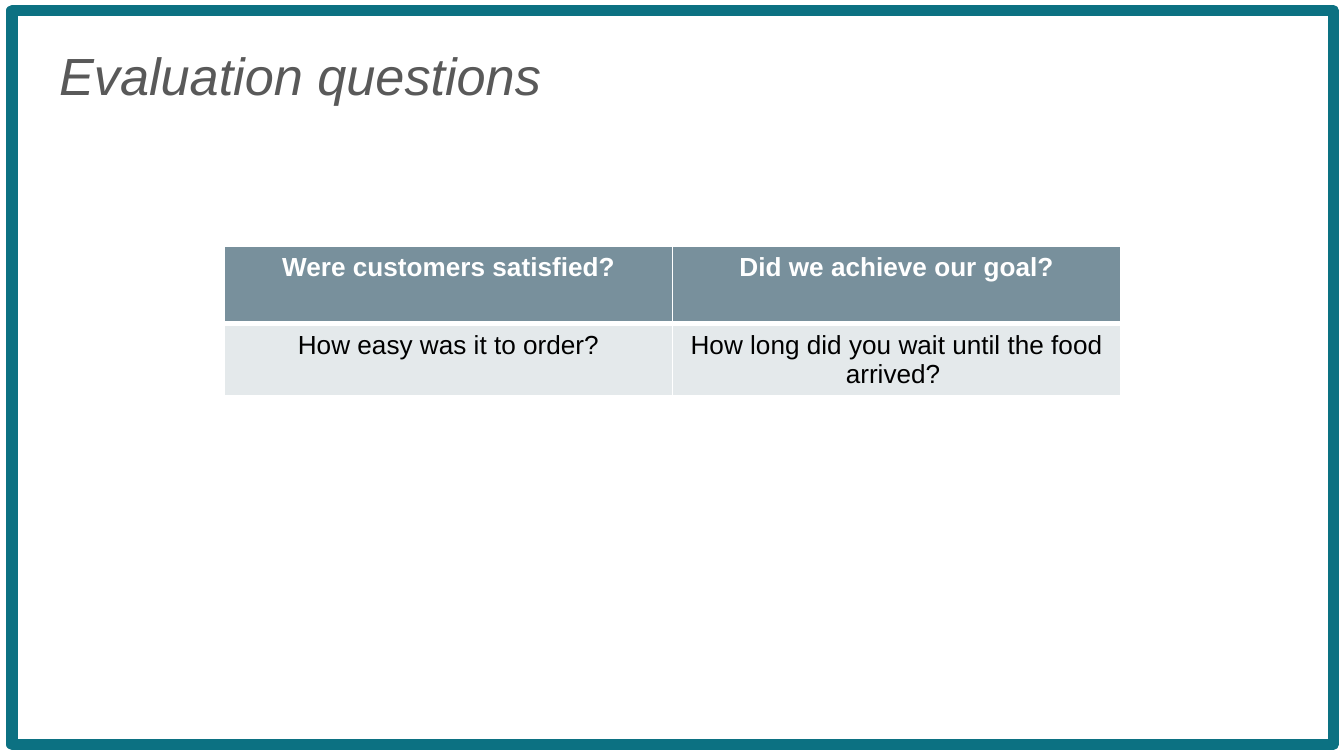
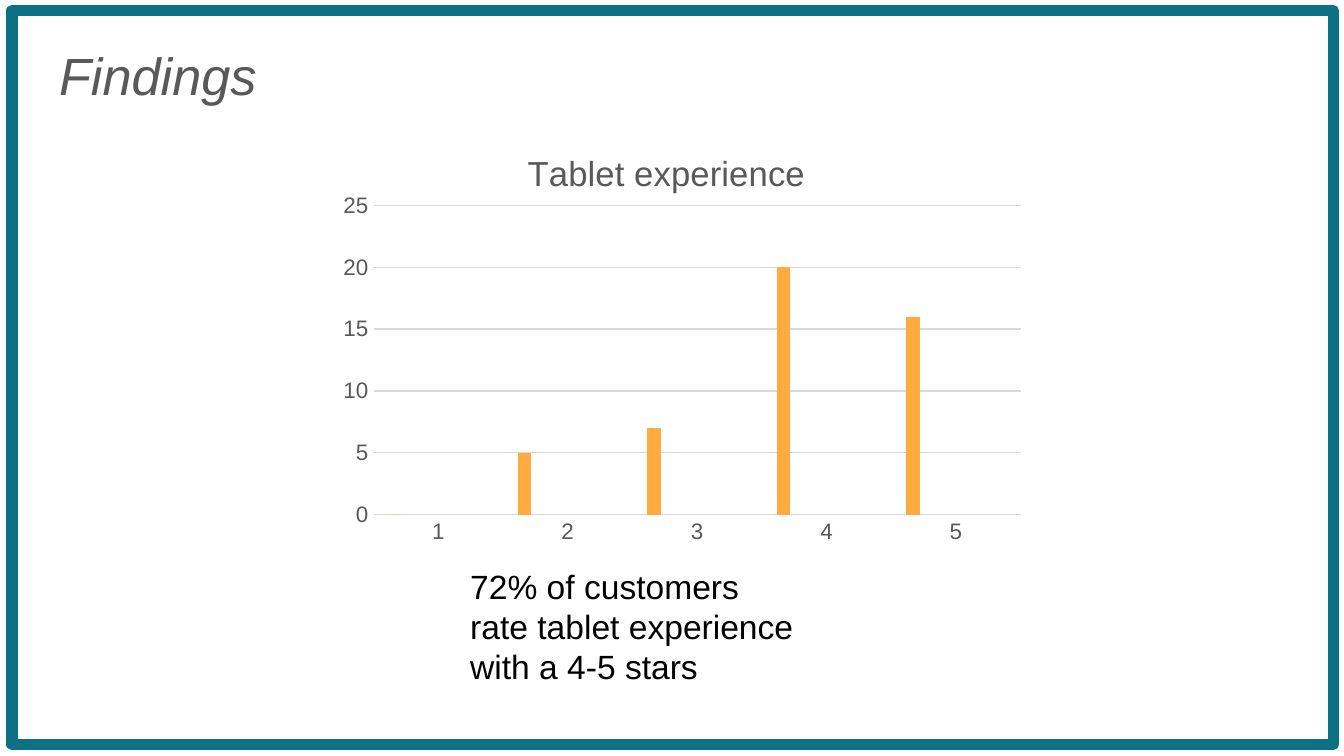
from lxml import etree
from pptx import Presentation
from pptx.chart.data import CategoryChartData
from pptx.dml.color import RGBColor
from pptx.enum.chart import XL_CHART_TYPE, XL_TICK_MARK
from pptx.enum.shapes import MSO_SHAPE
from pptx.enum.text import MSO_ANCHOR, MSO_AUTO_SIZE, PP_ALIGN
from pptx.oxml import parse_xml
from pptx.oxml.ns import nsdecls, qn
from pptx.util import Inches, Pt

RECT = MSO_SHAPE.RECTANGLE
COLUMN = XL_CHART_TYPE.COLUMN_CLUSTERED
NO_TICK = XL_TICK_MARK.NONE
LEFT, CENTER = PP_ALIGN.LEFT, PP_ALIGN.CENTER
TOP = MSO_ANCHOR.TOP
NO_FIT = MSO_AUTO_SIZE.NONE

TEAL, GREY, SLATE, PALE, RULE = "0C7182", "595959", "78909C", "E4E9EB", "D9D9D9"
WHITE, BLACK = "FFFFFF", "000000"


def rgb(value):
    return RGBColor.from_string(value)


def style(font, size, color, bold=False, italic=False):
    font.name = "Arial"
    font.size = Pt(size)
    font.bold = bold
    font.italic = italic
    font.color.rgb = rgb(color)


# 16:9 slides
prs = Presentation()
prs.slide_width = Inches(10)
prs.slide_height = prs.slide_width * 9 // 16

# Shared frame and heading
slides = []
for heading in ("Evaluation questions", "Findings"):
    s = prs.slides.add_slide(prs.slide_layouts[5])
    frame = s.shapes.add_shape(RECT, Inches(0.09), Inches(0.08), Inches(9.83), Inches(5.46))
    frame.shadow.inherit = False
    frame.fill.background()
    frame.line.color.rgb = rgb(TEAL)
    frame.line.width = Pt(6)

    title = s.shapes.title
    title.left, title.top = Inches(0.34), Inches(0.22)
    title.width, title.height = Inches(9.32), Inches(0.87)
    tf = title.text_frame
    tf.text = heading
    tf.auto_size = NO_FIT
    tf.vertical_anchor = TOP
    tf.margin_left = tf.margin_top = tf.margin_right = tf.margin_bottom = Inches(0.1)
    p = tf.paragraphs[0]
    p.alignment = LEFT
    style(p.runs[0].font, 28, GREY, italic=True)
    slides.append(s)
questions, findings = slides

# Question table
rows = [
    ("Were customers satisfied?", "Did we achieve our goal?"),
    ("How easy was it to order?", "How long did you wait until the food arrived? "),
]
sp = questions.shapes.add_table(2, 2, Inches(1.67), Inches(1.83), Inches(6.67), Inches(1.14))
table = sp.table
table.horz_banding = False
table.rows[0].height, table.rows[1].height = Inches(0.58), Inches(0.41)
sp.height = Inches(1.14)
for i, row in enumerate(rows):
    header = i == 0
    for j, text in enumerate(row):
        cell = table.cell(i, j)
        cell.text = text
        p = cell.text_frame.paragraphs[0]
        p.alignment = CENTER
        style(p.runs[0].font, 14, WHITE if header else BLACK, bold=header)
        # Borders go before the fill; the rule under the header is thicker
        tcPr = cell._tc.get_or_add_tcPr()
        for side, width in (("L", 1), ("R", 1), ("T", 1 if header else 3), ("B", 3 if header else 1)):
            tcPr.append(parse_xml(
                f'<a:ln{side} {nsdecls("a")} w="{Pt(width)}"><a:solidFill>'
                f'<a:srgbClr val="{WHITE}"/></a:solidFill></a:ln{side}>'))
        cell.fill.solid()
        cell.fill.fore_color.rgb = rgb(SLATE if header else PALE)

# Rating chart
chart_w, chart_h = 5.21, 3.26
ratings = [0, 5, 7, 20, 16]
series_colors = ["FFAB40", "212121", SLATE, "FFAB40", "0097A7", "EEFF41"]
data = CategoryChartData()
data.categories = ["1", "2", "3", "4", "5"]
for n in range(len(series_colors)):
    data.add_series(f"Series {n + 1}", ratings if n == 0 else [None] * len(ratings))
chart = findings.shapes.add_chart(
    COLUMN, Inches(2.39), Inches(1), Inches(chart_w), Inches(chart_h), data).chart
style(chart.font, 10, BLACK)
chart.has_legend = False
chart.has_title = True
tf = chart.chart_title.text_frame
tf.text = "Tablet experience"
style(tf.paragraphs[0].runs[0].font, 18.6, GREY)
chart.chart_title.include_in_layout = False

plot = chart.plots[0]
plot.gap_width, plot.overlap = 219, -27
plot.vary_by_categories = False
for series, color in zip(plot.series, series_colors):
    series.format.fill.solid()
    series.format.fill.fore_color.rgb = rgb(color)

for axis in (chart.category_axis, chart.value_axis):
    axis.major_tick_mark = axis.minor_tick_mark = NO_TICK
    style(axis.tick_labels.font, 12, GREY)
chart.value_axis.minimum_scale, chart.value_axis.maximum_scale = 0, 25
chart.value_axis.major_unit = 5
chart.value_axis.format.line.fill.background()
for line in (chart.category_axis.format.line, chart.value_axis.major_gridlines.format.line):
    line.color.rgb = rgb(RULE)
    line.width = Pt(0.75)

# Fixed places of title and inner plot area, in inches within the chart
c_title = chart.chart_title._element
c_plot = chart._chartSpace.chart.plotArea
edges = [("xMode", "edge"), ("yMode", "edge")]
for parent, index, settings in (
    (c_title, 1, edges + [("x", 1.49 / chart_w), ("y", 0.07 / chart_h)]),
    (c_plot, 0, [("layoutTarget", "inner")] + edges + [
        ("x", 0.39 / chart_w), ("y", 0.53 / chart_h),
        ("w", 4.82 / chart_w), ("h", 2.3 / chart_h)]),
):
    for old in parent.findall(qn("c:layout")):
        parent.remove(old)
    layout = etree.Element(qn("c:layout"))
    manual = etree.SubElement(layout, qn("c:manualLayout"))
    for tag, value in settings:
        etree.SubElement(manual, qn(f"c:{tag}")).set("val", str(value))
    parent.insert(index, layout)

# Conclusion
sp = findings.shapes.add_textbox(Inches(3.4), Inches(4.16), Inches(2.62), Inches(1.01))
tf = sp.text_frame
tf.word_wrap = True
tf.text = "72% of customers rate tablet experience with a 4-5 stars"
style(tf.paragraphs[0].runs[0].font, 18, BLACK)

prs.save("out.pptx")
